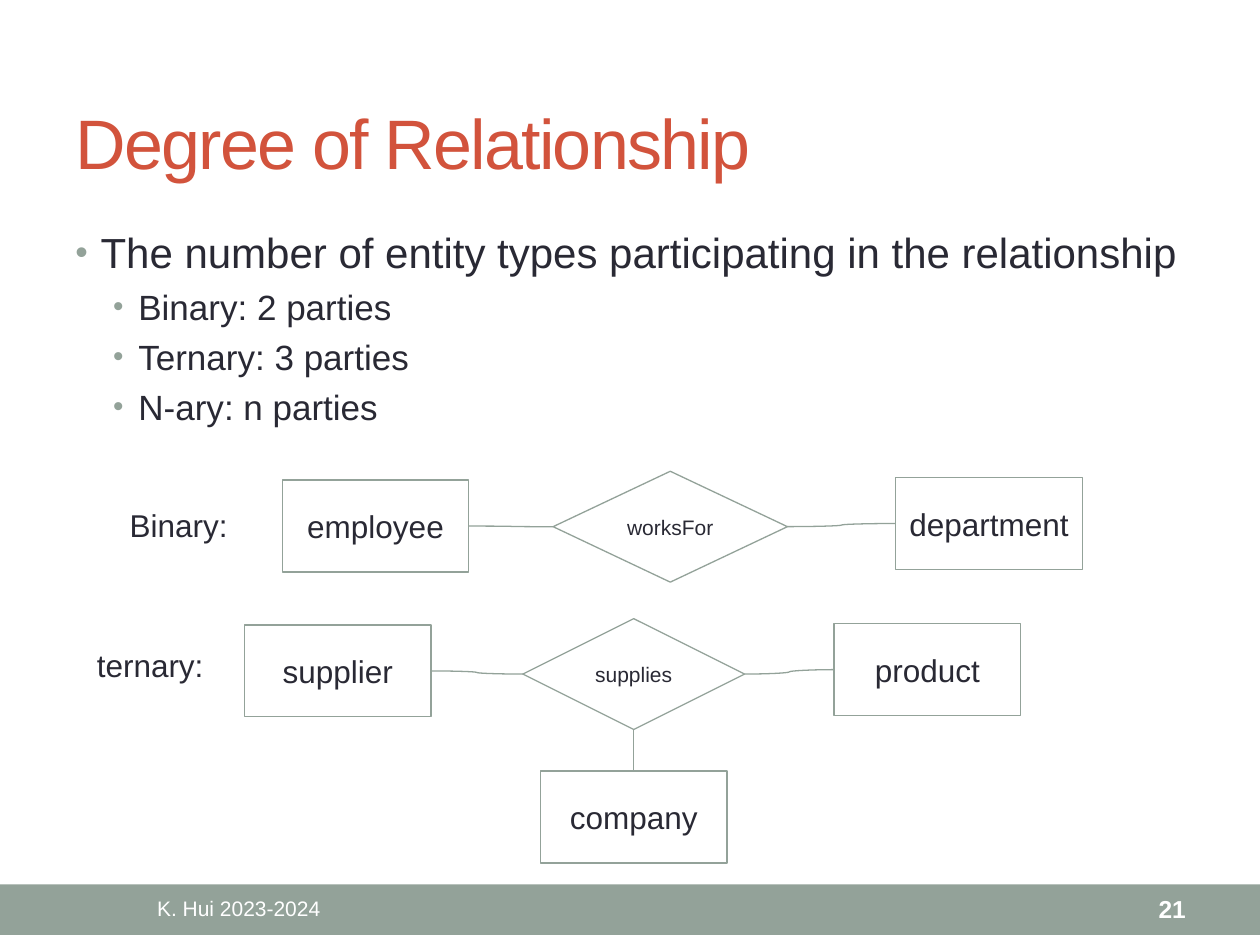
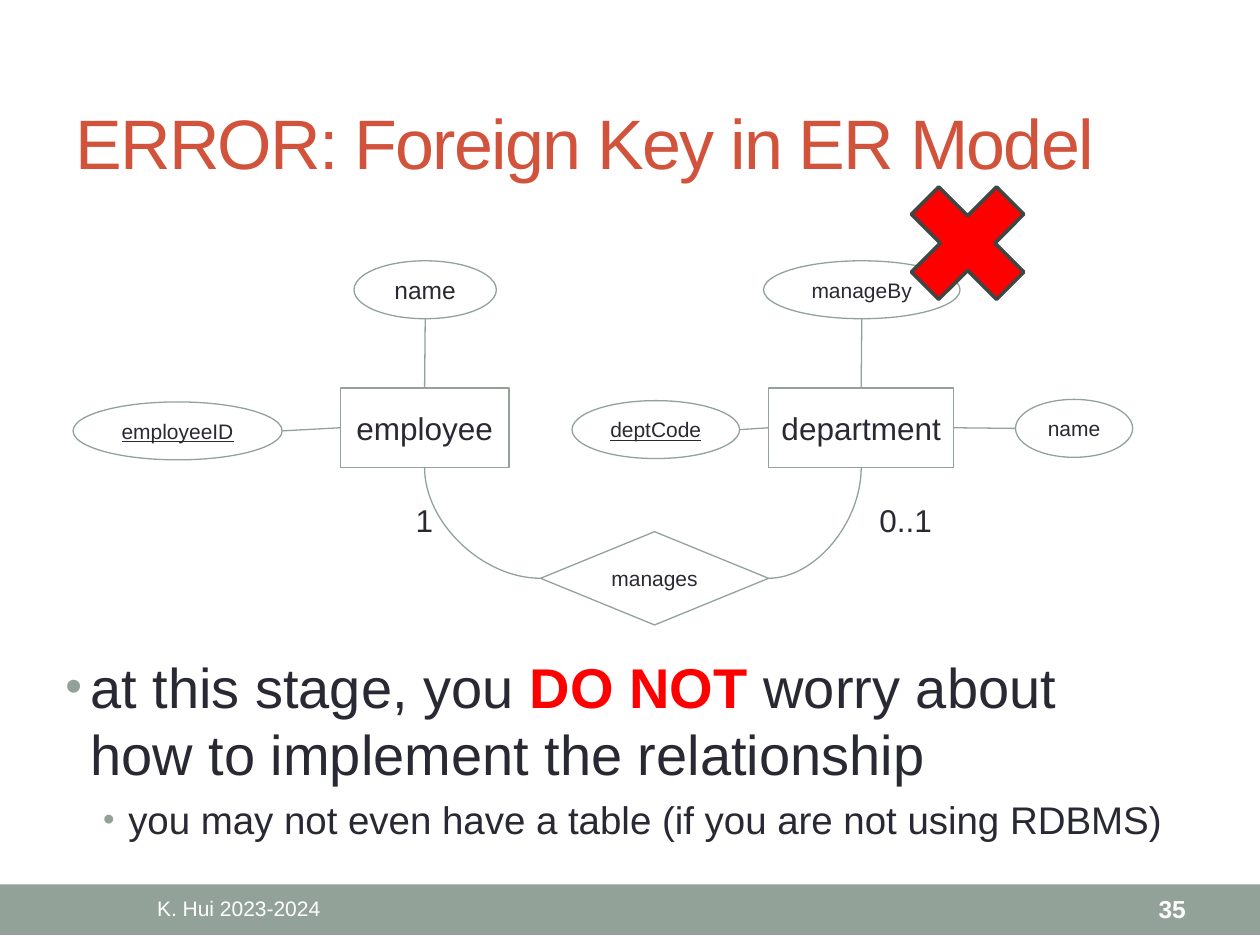
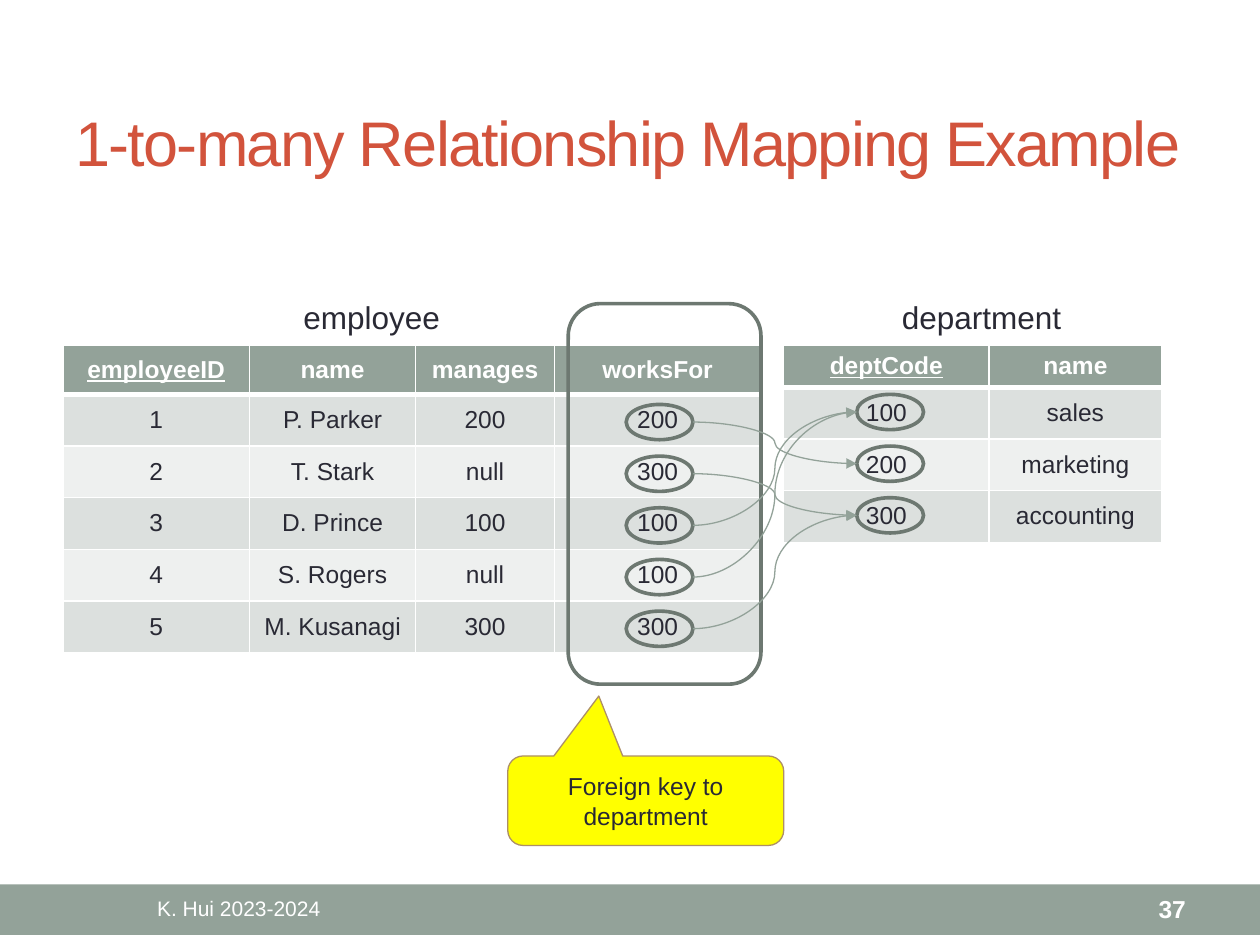
from lxml import etree
from pptx import Presentation
from pptx.dml.color import RGBColor
from pptx.enum.shapes import MSO_CONNECTOR, MSO_SHAPE
from pptx.enum.text import MSO_ANCHOR, PP_ALIGN
from pptx.oxml.ns import qn
from pptx.util import Inches, Pt

RECTANGLE, DIAMOND, OVAL = MSO_SHAPE.RECTANGLE, MSO_SHAPE.DIAMOND, MSO_SHAPE.OVAL
ROUNDED, CROSS = MSO_SHAPE.ROUNDED_RECTANGLE, MSO_SHAPE.MATH_MULTIPLY
CALLOUT = MSO_SHAPE.ROUNDED_RECTANGULAR_CALLOUT
CURVE, STRAIGHT = MSO_CONNECTOR.CURVE, MSO_CONNECTOR.STRAIGHT
TOP, MIDDLE = MSO_ANCHOR.TOP, MSO_ANCHOR.MIDDLE
LEFT, CENTER, RIGHT = PP_ALIGN.LEFT, PP_ALIGN.CENTER, PP_ALIGN.RIGHT

COLORS = {
    "sage": "93A299", "dark_sage": "6D7871", "charcoal": "404743",
    "ink": "292934", "title": "D2533C", "white": "FFFFFF",
    "red": "FF0000", "yellow": "FFFF00", "tan": "AD8F67",
    "odd_row": "DCE0DE", "even_row": "EEF0EF",
}
FONT = "Arial"
SIDES = {
    "top": (0, 0.5, 0), "left": (1, 0, 0.5),
    "bottom": (2, 0.5, 1), "right": (3, 1, 0.5),
}
ENTITY_SIZE = (1.48, 0.73)
RING_SIZE = (0.53, 0.28)
ROW_HEIGHT = 0.41


def rgb(name):
    return RGBColor.from_string(COLORS[name])


def apply_format(target, values):
    for name, value in values.items():
        setattr(target, name, value)


def add_run(paragraph, text, size, color="ink", **values):
    run = paragraph.add_run()
    run.text = text
    apply_format(run.font, {"name": FONT, "size": Pt(size), **values})
    run.font.color.rgb = rgb(color)
    return run


def add_text(slide, box, text, size, color="ink", align=LEFT, anchor=TOP, wrap=True, **values):
    frame = slide.shapes.add_textbox(*map(Inches, box)).text_frame
    apply_format(frame, {"word_wrap": wrap, "vertical_anchor": anchor})
    paragraph = frame.paragraphs[0]
    paragraph.alignment = align
    return add_run(paragraph, text, size, color, **values)


def add_label(slide, box, text):
    add_text(slide, box, text, 18, wrap=False)


def add_bullets(slide, box, items):
    frame = slide.shapes.add_textbox(*map(Inches, box)).text_frame
    frame.word_wrap = True
    for index, (level, size, runs) in enumerate(items):
        paragraph = frame.paragraphs[0] if index == 0 else frame.add_paragraph()
        paragraph.level = level
        if index:
            paragraph.space_before = Pt(size * 0.23)
        properties = paragraph._p.get_or_add_pPr()
        properties.set("marL", str(Inches(0.2 + 0.3 * level)))
        properties.set("indent", str(Inches(-0.2)))
        bullet_color = etree.SubElement(properties, qn("a:buClr"))
        etree.SubElement(bullet_color, qn("a:srgbClr"), val=COLORS["sage"])
        etree.SubElement(properties, qn("a:buSzPct"), val="85000")
        etree.SubElement(properties, qn("a:buFont"), typeface=FONT)
        etree.SubElement(properties, qn("a:buChar"), char="•")
        for text, values in runs:
            add_run(paragraph, text, size, **values)


def add_box(slide, kind, box, fill=None, line="sage", width=0.75):
    shape = slide.shapes.add_shape(kind, *map(Inches, box))
    shape.shadow.inherit = False
    if fill:
        shape.fill.solid()
        shape.fill.fore_color.rgb = rgb(fill)
    else:
        shape.fill.background()
    if line:
        shape.line.color.rgb = rgb(line)
        shape.line.width = Pt(width)
    else:
        shape.line.fill.background()
    return shape


def add_node(slide, kind, box, text, size, underline=False):
    shape = add_box(slide, kind, box)
    write_centered(shape, text, size, wrap=False, underline=underline)
    return shape


def write_centered(shape, text, size, wrap=True, **values):
    frame = shape.text_frame
    apply_format(frame, {"word_wrap": wrap, "vertical_anchor": MIDDLE})
    frame.paragraphs[0].alignment = CENTER
    add_run(frame.paragraphs[0], text, size, **values)


def side_point(shape, side):
    _, across, down = SIDES[side]
    return int(shape.left + shape.width * across), int(shape.top + shape.height * down)


def connect(slide, start, start_side, end, end_side, kind=CURVE, preset=None, arrow=False):
    connector = slide.shapes.add_connector(
        kind, *side_point(start, start_side), *side_point(end, end_side))
    if OVAL not in (start.auto_shape_type, end.auto_shape_type):
        connector.begin_connect(start, SIDES[start_side][0])
        connector.end_connect(end, SIDES[end_side][0])
    connector.line.color.rgb = rgb("sage")
    connector.line.width = Pt(0.75)
    properties = connector._element.spPr
    if preset:
        properties.find(qn("a:prstGeom")).set("prst", preset)
    if arrow:
        etree.SubElement(properties.find(qn("a:ln")), qn("a:tailEnd"), type="triangle")
    etree.SubElement(properties, qn("a:effectLst"))


def set_borders(cell, widths):
    properties = cell._tc.get_or_add_tcPr()
    for side, width in widths.items():
        line = etree.SubElement(properties, qn(f"a:ln{side}"), w=str(Pt(width)))
        fill = etree.SubElement(line, qn("a:solidFill"))
        etree.SubElement(fill, qn("a:srgbClr"), val=COLORS["white"])


def add_data_table(slide, left, top, widths, header_height, rows):
    heights = [header_height] + [ROW_HEIGHT] * (len(rows) - 1)
    box = (left, top, sum(widths), sum(heights))
    table = slide.shapes.add_table(len(rows), len(widths), *map(Inches, box)).table
    for column, width in zip(table.columns, widths):
        column.width = Inches(width)
    for row_index, (row, height) in enumerate(zip(rows, heights)):
        table.rows[row_index].height = Inches(height)
        header = row_index == 0
        fill = "sage" if header else "odd_row" if row_index % 2 else "even_row"
        for column_index, text in enumerate(row):
            cell = table.cell(row_index, column_index)
            set_borders(cell, {"L": 1, "R": 1, "T": 3 if row_index == 1 else 1,
                               "B": 3 if header else 1})
            cell.fill.solid()
            cell.fill.fore_color.rgb = rgb(fill)
            cell.vertical_anchor = MIDDLE
            paragraph = cell.text_frame.paragraphs[0]
            paragraph.alignment = CENTER
            add_run(paragraph, text, 14, "white" if header else "ink",
                    bold=header, underline=header and column_index == 0)


def add_base_slide(presentation, title, number, title_size=40):
    slide = presentation.slides.add_slide(presentation.slide_layouts[6])
    add_box(slide, RECTANGLE, (0, 7.02, 10, 0.4), "sage", None)
    run = add_text(slide, (0.5, 0.58, 9, 1.08), title, title_size, "title", anchor=MIDDLE)
    run.font._element.set("spc", "-100")
    add_text(slide, (0.5, 7.03, 2.79, 0.36), "K. Hui 2023-2024", 12, "white", CENTER, MIDDLE)
    add_text(slide, (8.34, 7.03, 1.17, 0.36), str(number), 14, "white", RIGHT, MIDDLE, bold=True)
    return slide


def add_binary_diagram(slide, left, top):
    add_label(slide, (left, top + 0.23, 0.99, 0.4), "Binary:")
    employee = add_node(slide, RECTANGLE, (left + 1.31, top + 0.07, *ENTITY_SIZE), "employee", 18)
    works_for = add_node(slide, DIAMOND, (left + 3.46, top, 1.86, 0.88), "worksFor", 12)
    department = add_node(
        slide, RECTANGLE, (left + 6.18, top + 0.05, *ENTITY_SIZE), "department", 18)
    connect(slide, employee, "right", works_for, "left")
    connect(slide, department, "left", works_for, "right")


def add_ternary_diagram(slide, left, top):
    add_label(slide, (left, top + 0.17, 1.06, 0.4), "ternary:")
    supplier, company, product = [
        add_node(slide, RECTANGLE, (left + across, top + down, *ENTITY_SIZE), text, 18)
        for across, down, text in (
            (1.27, 0.05, "supplier"), (3.62, 1.21, "company"), (5.95, 0.04, "product"))]
    supplies = add_node(slide, DIAMOND, (left + 3.48, top, 1.76, 0.88), "supplies", 12)
    connect(slide, supplier, "right", supplies, "left")
    connect(slide, company, "top", supplies, "bottom")
    connect(slide, supplies, "right", product, "left")


def add_entity(slide, box, text, attributes):
    entity = add_node(slide, RECTANGLE, box, text, 18)
    for side, across, down, width, name, size, is_key in attributes:
        attribute = add_node(
            slide, OVAL, (box[0] + across, box[1] + down, width, 0.46), name, size, is_key)
        opposite = {"top": "bottom", "left": "right", "right": "left"}[side]
        connect(slide, entity, side, attribute, opposite, STRAIGHT)
    return entity


def add_manages_diagram(slide, left, top):
    employee = add_entity(slide, (left + 2.12, top + 1.01, 1.34, 0.63), "employee", (
        ("top", 0.11, -1.01, 1.13, "name", 14, False),
        ("left", -2.12, 0.11, 1.66, "employeeID", 12, True)))
    department = add_entity(slide, (left + 5.52, top + 1.01, 1.47, 0.63), "department", (
        ("top", -0.04, -1.01, 1.56, "manageBy", 12, False),
        ("left", -1.56, 0.1, 1.33, "deptCode", 12, True),
        ("right", 1.96, 0.09, 0.93, "name", 12, False)))
    manages = add_node(slide, DIAMOND, (left + 3.71, top + 2.15, 1.81, 0.74), "manages", 12)
    for side, entity in (("left", employee), ("right", department)):
        connect(slide, manages, side, entity, "bottom", preset="curvedConnector2")
    add_label(slide, (left + 2.62, top + 1.86, 0.34, 0.4), "1")
    add_label(slide, (left + 6.3, top + 1.86, 0.62, 0.4), "0..1")
    add_box(slide, CROSS, (left + 6.45, top - 0.79, 1.3, 1.3), "red", "charcoal", 2.08)


def add_mapping_tables(slide, left, top):
    add_label(slide, (left + 1.81, top, 1.3, 0.4), "employee")
    add_label(slide, (left + 6.56, top, 1.48, 0.4), "department")
    employees = (
        ("employeeID", "name", "manages", "worksFor"),
        ("1", "P. Parker", "200", "200"),
        ("2", "T. Stark", "null", "300"),
        ("3", "D. Prince", "100", "100"),
        ("4", "S. Rogers", "null", "100"),
        ("5", "M. Kusanagi", "300", "300"))
    departments = (
        ("deptCode", "name"), ("100", "sales"), ("200", "marketing"), ("300", "accounting"))
    add_data_table(slide, left, top + 0.42, (1.48, 1.32, 1.1, 1.64), 0.39, employees)
    add_data_table(slide, left + 5.72, top + 0.42, (1.63, 1.37), 0.31, departments)
    add_box(slide, ROUNDED, (left + 4.01, top + 0.09, 1.53, 3.02), line="dark_sage", width=2.08)
    targets = {
        row[0]: add_ring(slide, left + 6.3, top + 0.81 + ROW_HEIGHT * index)
        for index, row in enumerate(departments[1:])}
    for index, row in enumerate(employees[1:]):
        source = add_ring(slide, left + 4.47, top + 0.89 + ROW_HEIGHT * index)
        connect(slide, source, "right", targets[row[-1]], "left", arrow=True)


def add_ring(slide, left, top):
    return add_box(slide, OVAL, (left, top, *RING_SIZE), line="dark_sage", width=2.08)


def add_foreign_key_note(slide, box):
    note = add_box(slide, CALLOUT, box, "yellow", "tan")
    for index, value in enumerate((-0.17, -1.17, 0.17)):
        note.adjustments[index] = value
    write_centered(note, "Foreign key to department", 14)


def build_degree_slide(presentation):
    slide = add_base_slide(presentation, "Degree of Relationship", 21)
    add_bullets(slide, (0.5, 1.75, 9, 1.89), (
        (0, 24, [("The number of entity types participating in the relationship", {})]),
        (1, 20, [("Binary: 2 parties", {})]),
        (1, 20, [("Ternary: 3 parties", {})]),
        (1, 20, [("N-ary: n parties", {})])))
    add_binary_diagram(slide, 0.93, 3.74)
    add_ternary_diagram(slide, 0.67, 4.91)


def build_error_slide(presentation):
    slide = add_base_slide(presentation, "ERROR: Foreign Key in ER Model", 35)
    add_manages_diagram(slide, 0.58, 2.07)
    add_bullets(slide, (0.42, 5.13, 9, 1.81), (
        (0, 32, [("at this stage, you ", {}),
                 ("DO NOT", {"color": "red", "bold": True}),
                 (" worry about how to implement the relationship", {})]),
        (1, 22, [("you may not even have a table (if you are not using RDBMS)", {})])))


def build_mapping_slide(presentation):
    slide = add_base_slide(presentation, "1-to-many Relationship Mapping Example", 37, 36)
    add_mapping_tables(slide, 0.5, 2.32)
    add_foreign_key_note(slide, (4.03, 6, 2.19, 0.71))


def main():
    presentation = Presentation()
    apply_format(presentation, {"slide_width": Inches(10), "slide_height": Inches(7.5)})
    build_degree_slide(presentation)
    build_error_slide(presentation)
    build_mapping_slide(presentation)
    presentation.save("out.pptx")


if __name__ == "__main__":
    main()
